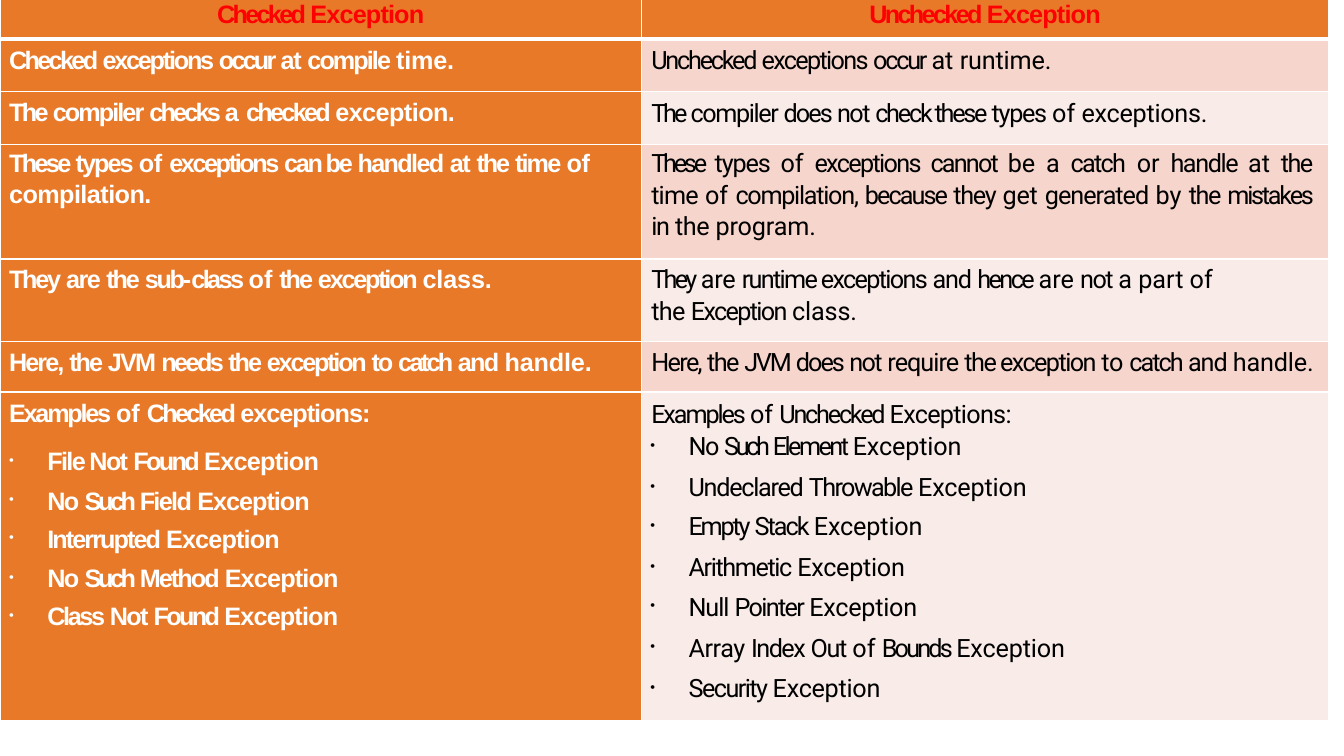
from lxml.etree import SubElement
from pptx import Presentation
from pptx.dml.color import RGBColor
from pptx.enum.text import PP_ALIGN as Align
from pptx.oxml import parse_xml
from pptx.oxml.ns import nsdecls, qn
from pptx.util import Inches, Pt

ORANGE = RGBColor(0xE7, 0x79, 0x29)
ROSE = RGBColor(0xF6, 0xD5, 0xCD)
PALE_ROSE = RGBColor(0xF8, 0xEB, 0xE8)
RED = RGBColor(0xFF, 0x00, 0x00)
WHITE = RGBColor(0xFF, 0xFF, 0xFF)
BLACK = RGBColor(0x00, 0x00, 0x00)

COLUMN_WIDTHS = (6.36, 6.82)
TABLE_TOP = -0.01
BAND_HEIGHT = 0.38
CHECKED = dict(font="Arial", color=WHITE, bold=True, indent=0.09)
UNCHECKED = dict(font="Roboto", color=BLACK, bold=False, indent=0.1)
HEADER = dict(font="Arial", color=RED, bold=True, align=Align.CENTER)
BULLET = dict(indent=0.47, hanging=0.38, bullet="•")

# Each cell is (top inset, paragraphs); each paragraph is (runs, format),
# and each run is (text, letter spacing in points).
ROWS = [
    (0.4,
     (0.02, [([("Checked ", -1.9), ("Exception", -0.6)], dict(before=1.4))]),
     (0.02, [([("Unchecked ", -1.9), ("Exception", -0.6)], dict(before=1.4))])),
    (0.52,
     (0.07, [([("Checked ", -1.9), ("exceptions ", -1.6), ("occur ", -2), ("at ", -0.9),
               ("compile ", -1.4), ("time.", -0.1)], dict(before=5.3))]),
     (0.07, [([("Unchecked ", -1.6), ("exceptions ", -1.2), ("occur ", -1.6), ("at ", 0),
               ("runtime.", -0.1)], dict(before=5.3))])),
    (0.52,
     (0.07, [([("The ", -1.9), ("compiler ", -1.4), ("checks ", -2), ("a ", 0),
               ("checked ", -1.9), ("exception.", -0.4)], dict(before=5.3))]),
     (0.07, [([("The ", -2.2), ("compiler ", -1), ("does ", -1.4), ("not ", -1.1),
               ("check these ", -1.6), ("types ", -0.9), ("of ", 0),
               ("exceptions.", -0.2)], dict(before=5.3))])),
    (1.14,
     (0.06, [([("These ", -1.9), ("types ", -1.4), ("of ", -0.1), ("exceptions ", -1.7),
               ("can be ", -1.6), ("handled", -1.2), (" at ", -1), ("the ", -1.5),
               ("time ", -1.3), ("of", -0.2)], dict(before=4)),
             ([("compilation.", -0.4)], dict(before=1.6))]),
     (0.03, [([("These ", -2.3), ("types ", -0.8), ("of ", 0), ("exceptions ", -1.2),
               ("cannot ", -1.3), ("be a ", 0), ("catch", -1.2), (" or ", 0),
               ("handle ", -1), ("at ", 0), ("the ", -1.1), ("time ", -0.6), ("of ", 0),
               ("compilation, ", -0.9), ("because ", -1.4), ("they ", -0.9),
               ("get ", -0.2), ("generated ", -0.7), ("by ", 0), ("the ", -1),
               ("mistakes ", -1.6), ("in ", -0.9), ("the ", -0.3), ("program.", -0.1)],
              dict(before=2.5, align=Align.JUSTIFY, line=1.07, right=0.17))])),
    (0.82,
     (0.07, [([("They ", -1.6), ("are ", -1.1), ("the ", -1.5), ("sub-", -1.6),
               ("class ", -1.8), ("of ", 0), ("the ", -1.5), ("exception ", -1.6),
               ("class.", -0.1)], dict(before=5.4))]),
     (0.04, [([("They ", -1.9), ("are ", -0.2), ("runtime exceptions ", -1.2),
               ("and ", -0.8), ("hence ", -1.8), ("are ", 0), ("not ", -1.1),
               ("a part of ", 0), ("the ", -0.5), ("Exception ", -1.2), ("class.", -0.1)],
              dict(before=2.5, line=1.07, right=0.9))])),
    (0.5,
     (0.07, [([("Here, ", -1.4), ("the ", -1.5), ("JVM ", -1.3), ("needs ", -1.8),
               ("the ", -1.5), ("exception ", -1.6), ("to ", -1.5), ("catch ", -1.9),
               ("and ", -1.2), ("handle.", -0.1)], dict(before=5.4))]),
     (0.07, [([("Here, ", -1.2), ("the ", -1.1), ("JVM ", -1.6), ("does ", -1.4),
               ("not ", -1.1), ("require ", -0.7), ("the exception ", -1.1),
               ("to ", -0.2), ("catch ", -1.4), ("and ", -0.8), ("handle.", -0.1)],
              dict(before=5.4))])),
    (3.26,
     (0.08, [
         ([("Examples ", -1.6), ("of ", 0), ("Checked ", -1.9), ("exceptions:", -0.7)],
          dict(before=5.5)),
         ([("File Not ", -1.2), ("Found ", -1.9), ("Exception", -0.5)],
          dict(BULLET, before=13.9)),
         ([("No ", -1.2), ("Such ", -2.4), ("Field ", -1.2), ("Exception", -0.7)],
          dict(BULLET, before=8.1)),
         ([("Interrupted ", -1.4), ("Exception", -0.6)], dict(BULLET, before=7)),
         ([("No ", -1.2), ("Such ", -2.4), ("Method ", -1.4), ("Exception", -0.6)],
          dict(BULLET, before=8.1)),
         ([("Class ", -1.7), ("Not ", -1.2), ("Found ", -1.9), ("Exception", -0.6)],
          dict(BULLET, before=7))]),
     (0.08, [
         ([("Examples ", -1.5), ("of ", 0), ("Unchecked ", -1.6), ("Exceptions:", -0.5)],
          dict(before=5.5)),
         ([("No ", -1.1), ("Such ", -2.4), ("Element ", -1.8), ("Exception", -0.1)],
          dict(BULLET, before=1.9)),
         ([("Undeclared ", -0.9), ("Throwable ", -1.2), ("Exception", -0.1)],
          dict(BULLET, before=8.1)),
         ([("Empty ", -1.6), ("Stack ", -1.4), ("Exception", -0.1)],
          dict(BULLET, before=7)),
         ([("Arithmetic ", -1), ("Exception", -0.2)], dict(BULLET, before=8.1)),
         ([("Null ", -0.8), ("Pointer ", -1.2), ("Exception", -0.2)],
          dict(BULLET, before=7)),
         ([("Array ", -0.3), ("Index ", -1.1), ("Out ", -0.9), ("of ", 0),
           ("Bounds ", -2), ("Exception", -0.1)], dict(BULLET, before=8.1)),
         ([("Security ", -1.1), ("Exception", -0.2)], dict(BULLET, before=8))])),
]


def add_text(frame, runs, font, color, bold, before=0, align=Align.LEFT, line=None,
             indent=0, hanging=0, right=0, bullet=None, size=18):
    """Write one paragraph, using the empty first one when there is one."""
    first = frame.paragraphs[0]
    para = frame.add_paragraph() if first.runs else first
    para.alignment = align
    para.space_before = Pt(before)
    if line:
        para.line_spacing = line
    properties = para._p.get_or_add_pPr()
    for name, inches in (("marL", indent), ("marR", right), ("indent", -hanging)):
        properties.set(name, str(Inches(inches)))
    if bullet:
        SubElement(properties, qn("a:buSzPct")).set("val", "56000")
        SubElement(properties, qn("a:buChar")).set("char", bullet)
    for text, spacing in runs:
        span = para.add_run()
        span.text = text
        span.font.name = font
        span.font.size = Pt(size)
        span.font.bold = bold
        span.font.color.rgb = color
        span._r.get_or_add_rPr().set("spc", str(round(spacing * 100)))


def set_borders(cell, **widths):
    """Draw white borders; they stand before the fill in the cell properties."""
    properties = cell._tc.get_or_add_tcPr()
    for place, side in enumerate("LRTB"):
        properties.insert(place, parse_xml(
            f'<a:ln{side} {nsdecls("a")} w="{Pt(widths.get(side, 1))}">'
            f'<a:solidFill><a:srgbClr val="{WHITE}"/></a:solidFill></a:ln{side}>'))


deck = Presentation()
deck.slide_width, deck.slide_height = Inches(13.33), Inches(7.5)
page = deck.slides.add_slide(deck.slide_layouts[6])
table_width = sum(COLUMN_WIDTHS)

# Header band behind the table
outline = page.shapes.build_freeform(0, 0)
outline.add_line_segments([(Inches(x), Inches(y)) for x, y in (
    (table_width, 0), (table_width, BAND_HEIGHT), (0, BAND_HEIGHT))])
band = outline.convert_to_shape()
band.shadow.inherit = False
band.fill.solid()
band.fill.fore_color.rgb = ORANGE
band.line.fill.background()

# Comparison table
table = page.shapes.add_table(
    len(ROWS), len(COLUMN_WIDTHS), 0, Inches(TABLE_TOP), Inches(table_width),
    Inches(sum(height for height, *_ in ROWS))).table
for column, width in zip(table.columns, COLUMN_WIDTHS):
    column.width = Inches(width)

for row, (height, *cells) in enumerate(ROWS):
    table.rows[row].height = Inches(height)
    for column, (inset, paragraphs) in enumerate(cells):
        cell = table.cell(row, column)
        cell.margin_left = cell.margin_right = cell.margin_bottom = 0
        cell.margin_top = Inches(inset)
        cell.fill.solid()
        stripe = ROSE if row % 2 else PALE_ROSE
        cell.fill.fore_color.rgb = ORANGE if row == 0 or column == 0 else stripe
        set_borders(cell, L=1 if column else 0.25, T={0: 0.25, 1: 3}.get(row, 1),
                    B=1 if row else 3)
        style = (CHECKED, UNCHECKED)[column] if row else HEADER
        for runs, layout in paragraphs:
            add_text(cell.text_frame, runs, **{**style, **layout})

deck.save("out.pptx")
